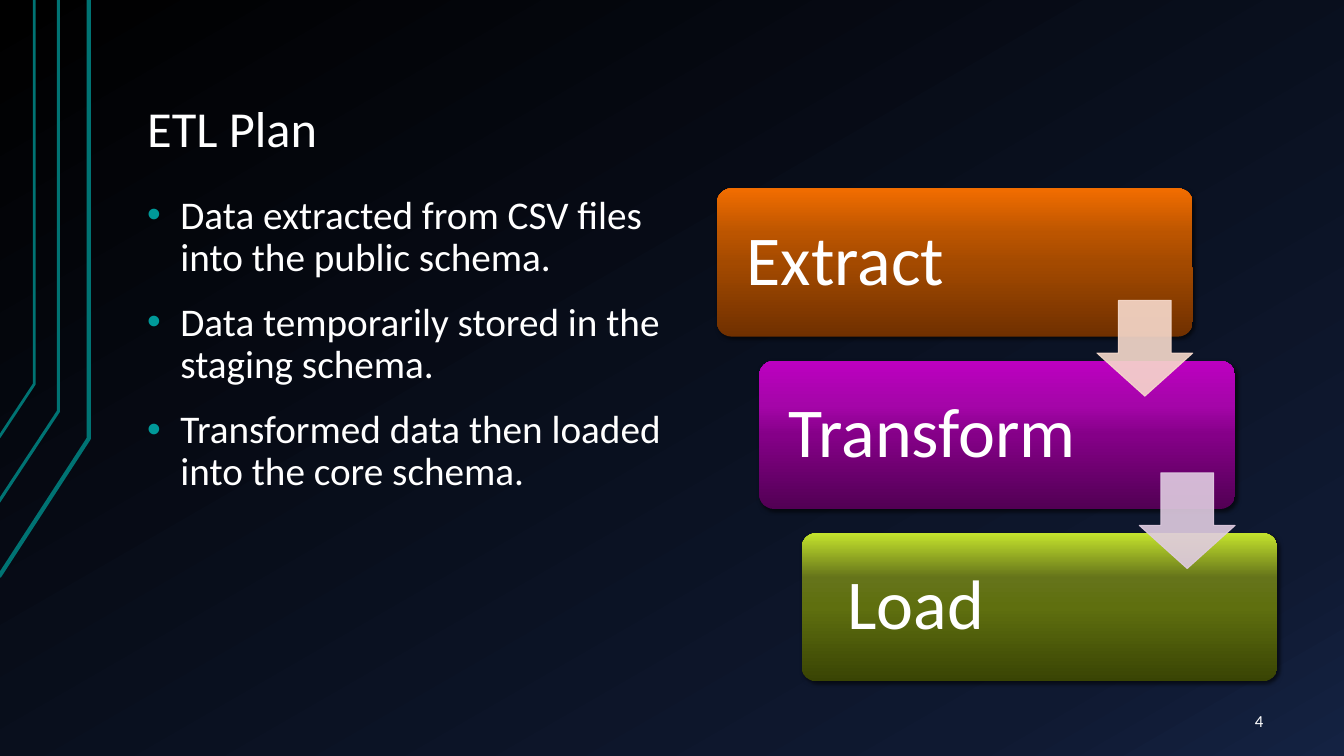
from lxml.etree import SubElement
from pptx import Presentation
from pptx.dml.color import RGBColor
from pptx.enum.shapes import MSO_SHAPE
from pptx.enum.text import MSO_ANCHOR, MSO_AUTO_SIZE, PP_ALIGN
from pptx.oxml.ns import qn
from pptx.util import Inches, Pt

FONT = "Calibri"
COLORS = {"text": "FFFFFF", "bullet": "009999", "rail": "007373", "shadow": "000000"}
BACKGROUND = [(0, "000000"), (85, "0F1931"), (100, "142242")]

TITLE = "ETL Plan"
BULLETS = [
    "Data extracted from CSV files into the public schema.",
    "Data temporarily stored in the staging schema.",
    "Transformed data then loaded into the core schema.",
]
SLIDE_NUMBER = "4"

# label, left inset, gradient from bottom to top
STEPS = [
    ("Extract", 0.25, [(0, "703000"), (50, "A44A00"), (70, "BC5500"), (100, "F26D00")]),
    ("Transform", 0.25, [(0, "520054"), (50, "850088"), (70, "A505A9"), (100, "BC00C0")]),
    ("Load", 0.41, [(0, "394404"), (50, "5F6F0F"), (70, "65741A"), (100, "C4E32D")]),
]
ARROW_COLORS = ["F7DACC", "E0CCE1"]
STEP_LEFT, STEP_TOP, STEP_WIDTH, STEP_HEIGHT = 7.11, 1.87, 4.72, 1.47
ARROW_LEFT, ARROW_TOP, ARROW_SIZE = 10.88, 2.98, 0.95
SHIFT_X, SHIFT_Y = 0.42, 1.71

# line width, points of each rail at the left edge
RAILS = [
    (3, [(-0.01, 5.72), (0.88, 4.35), (0.88, 0)]),
    (2.25, [(-0.02, 4.99), (0.58, 4.08), (0.58, 0)]),
    (2, [(-0.01, 4.34), (0.34, 3.81), (0.34, 0)]),
]


def rgb(value):
    return RGBColor.from_string(value)


def place(shape, left, top, width, height):
    shape.left, shape.top = Inches(left), Inches(top)
    shape.width, shape.height = Inches(width), Inches(height)


def set_gradient(fill, element, stops, angle):
    """Fill with the stops; element is the XML element that holds the fill."""
    fill.gradient()
    fill.gradient_angle = angle
    stop_list = next(element.iter(qn("a:gsLst")))
    for stop in list(stop_list):
        stop_list.remove(stop)
    for position, color in stops:
        stop = SubElement(stop_list, qn("a:gs"), pos=str(position * 1000))
        SubElement(stop, qn("a:srgbClr"), val=color)


def add_alpha(color_element, percent):
    SubElement(color_element, qn("a:alpha"), val=str(percent * 1000))


def add_soft_shadow(shape):
    shape.shadow.inherit = False
    effects = shape._element.spPr.find(qn("a:effectLst"))
    shadow = SubElement(effects, qn("a:outerShdw"), blurRad=str(Pt(3)), dist=str(Pt(2)),
                        dir=str(45 * 60000), algn="ctr", rotWithShape="0")
    add_alpha(SubElement(shadow, qn("a:srgbClr"), val=COLORS["shadow"]), 60)


def set_frame(shape, anchor, left=0.13):
    frame = shape.text_frame
    frame.word_wrap = True
    frame.auto_size = MSO_AUTO_SIZE.NONE
    frame.vertical_anchor = anchor
    frame.margin_left, frame.margin_right = Inches(left), Inches(0.13)
    frame.margin_top = frame.margin_bottom = Inches(0.07)
    return frame


def add_text(paragraph, text, size, alignment=PP_ALIGN.LEFT, spacing=0.9):
    paragraph.alignment = alignment
    paragraph.line_spacing = spacing
    run = paragraph.add_run()
    run.text = text
    run.font.name = FONT
    run.font.size = Pt(size)
    run.font.color.rgb = rgb(COLORS["text"])


def add_bullet(paragraph):
    properties = paragraph._p.get_or_add_pPr()
    properties.set("marL", str(Inches(0.33)))
    properties.set("indent", str(-Inches(0.33)))
    color = SubElement(properties, qn("a:buClr"))
    SubElement(color, qn("a:srgbClr"), val=COLORS["bullet"])
    SubElement(properties, qn("a:buFont"), typeface="Arial")
    SubElement(properties, qn("a:buChar"), char="•")


def add_rail(slide, width, points):
    start, *others = [(Inches(x), Inches(y)) for x, y in points]
    builder = slide.shapes.build_freeform(*start)
    builder.add_line_segments(others, close=False)
    rail = builder.convert_to_shape()
    rail.shadow.inherit = False
    rail.fill.background()
    rail.line.color.rgb = rgb(COLORS["rail"])
    rail.line.width = Pt(width)


def add_step(slide, index, label, inset, stops):
    step = slide.shapes.add_shape(
        MSO_SHAPE.ROUNDED_RECTANGLE,
        Inches(STEP_LEFT + index * SHIFT_X), Inches(STEP_TOP + index * SHIFT_Y),
        Inches(STEP_WIDTH), Inches(STEP_HEIGHT))
    step.adjustments[0] = 0.1
    set_gradient(step.fill, step._element.spPr, stops, 90)
    step.line.fill.background()
    add_soft_shadow(step)
    frame = set_frame(step, MSO_ANCHOR.MIDDLE, inset)
    add_text(frame.paragraphs[0], label, 50)


def add_arrow(slide, index, color):
    arrow = slide.shapes.add_shape(
        MSO_SHAPE.DOWN_ARROW,
        Inches(ARROW_LEFT + index * SHIFT_X), Inches(ARROW_TOP + index * SHIFT_Y),
        Inches(ARROW_SIZE), Inches(ARROW_SIZE))
    arrow.adjustments[0], arrow.adjustments[1] = 0.55, 0.45
    arrow.shadow.inherit = False
    arrow.fill.solid()
    arrow.fill.fore_color.rgb = rgb(color)
    arrow.line.color.rgb = rgb(color)
    arrow.line.width = Pt(0.75)
    for color_element in list(arrow._element.spPr.iter(qn("a:srgbClr"))):
        add_alpha(color_element, 90)


def main():
    presentation = Presentation()
    presentation.slide_width, presentation.slide_height = Inches(13.33), Inches(7.5)
    slide = presentation.slides.add_slide(presentation.slide_layouts[1])
    set_gradient(slide.background.fill, slide._element, BACKGROUND, 300)

    for width, points in RAILS:
        add_rail(slide, width, points)

    title = slide.shapes.title
    place(title, 1.33, 0.3, 11.33, 1.34)
    add_text(set_frame(title, MSO_ANCHOR.BOTTOM).paragraphs[0], TITLE, 36)

    body = slide.placeholders[1]
    place(body, 1.33, 1.87, 5.55, 4.88)
    frame = set_frame(body, MSO_ANCHOR.TOP)
    for index, text in enumerate(BULLETS):
        paragraph = frame.add_paragraph() if index else frame.paragraphs[0]
        add_bullet(paragraph)
        paragraph.space_before = Pt(16 if index else 0)
        add_text(paragraph, text, 28)

    for index, step in enumerate(STEPS):
        add_step(slide, index, *step)
    for index, color in enumerate(ARROW_COLORS):
        add_arrow(slide, index, color)

    number = slide.shapes.add_textbox(Inches(11.55), Inches(6.95), Inches(1.11), Inches(0.4))
    frame = set_frame(number, MSO_ANCHOR.MIDDLE)
    add_text(frame.paragraphs[0], SLIDE_NUMBER, 12, PP_ALIGN.RIGHT, 1.0)

    presentation.save("out.pptx")


if __name__ == "__main__":
    main()
